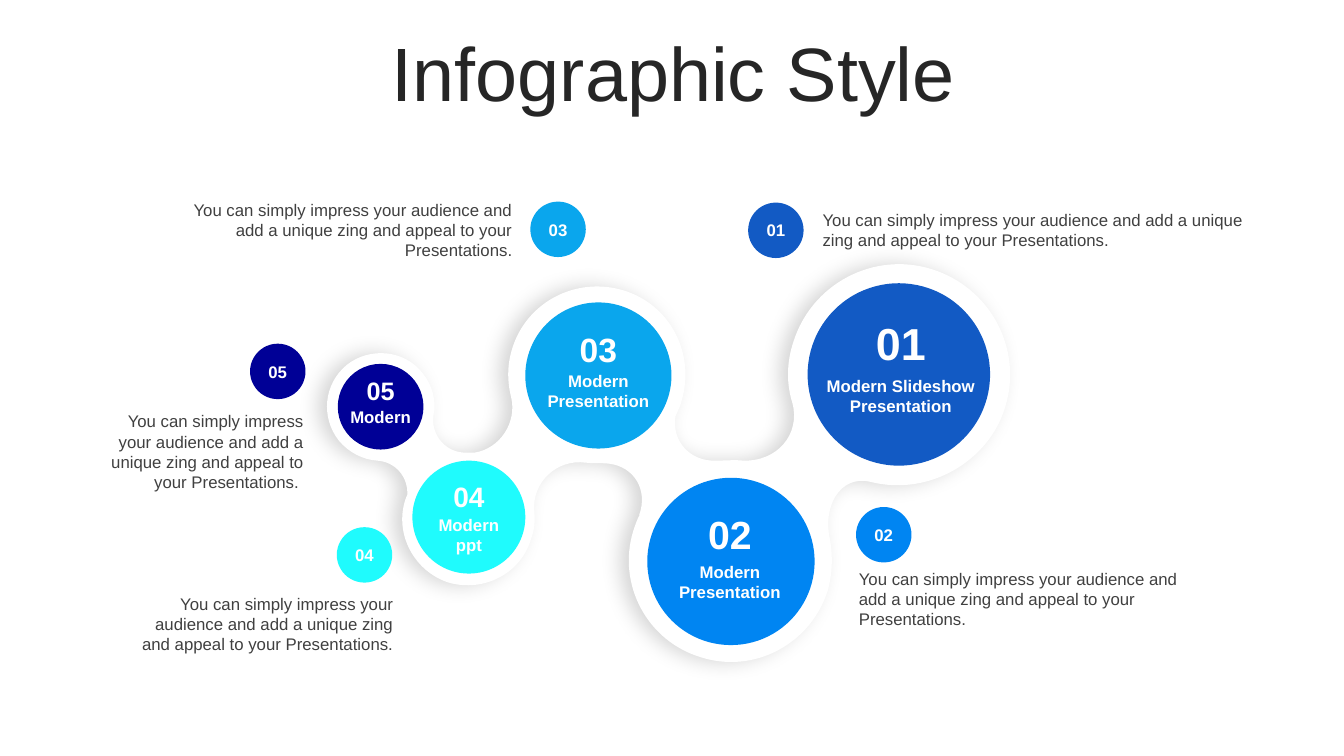
import lxml.etree
import pptx
import pptx.dml.color
import pptx.enum.shapes
import pptx.enum.text
import pptx.oxml.ns
import pptx.util

Inches = pptx.util.Inches
qn = pptx.oxml.ns.qn
ALIGN = pptx.enum.text.PP_ALIGN
ANCHOR = pptx.enum.text.MSO_ANCHOR
OVAL = pptx.enum.shapes.MSO_SHAPE.OVAL


def paint(color_format, hex_color):
    color_format.rgb = pptx.dml.color.RGBColor.from_string(hex_color)


def write(shape, words, size, color, align, bold=False, anchor=ANCHOR.TOP, margin=0.1):
    frame = shape.text_frame
    frame_format = {
        "word_wrap": True,
        "vertical_anchor": anchor,
        "margin_left": Inches(margin),
        "margin_right": Inches(margin),
    }
    for name, value in frame_format.items():
        setattr(frame, name, value)
    frame.text = words
    font_format = {"name": "Arial", "size": pptx.util.Pt(size), "bold": bold}
    for paragraph in frame.paragraphs:
        paragraph.alignment = align
        for run in paragraph.runs:
            for name, value in font_format.items():
                setattr(run.font, name, value)
            paint(run.font.color, color)


deck = pptx.Presentation()
deck.slide_width = Inches(13.33)
deck.slide_height = Inches(7.5)
slide = deck.slides.add_slide(deck.slide_layouts[6])
shapes = slide.shapes

title = shapes.add_textbox(Inches(0.35), Inches(0.37), Inches(12.66), Inches(0.79))
write(title, "Infographic Style", 54, "262626", ALIGN.CENTER, anchor=ANCHOR.MIDDLE)
title.text_frame.paragraphs[0].line_spacing = 0.9

ribbon_start = (9.97, 4.04)
ribbon_curves = [
    (9.81, 4.57, 9.22, 4.93, 8.63, 4.78),
    (8.33, 4.71, 8.16, 5.03, 8.23, 5.34),
    (8.26, 5.5, 8.26, 5.68, 8.21, 5.86),
    (8.04, 6.39, 7.48, 6.69, 6.95, 6.52),
    (6.42, 6.36, 6.12, 5.8, 6.28, 5.27),
    (6.3, 5.21, 6.32, 5.15, 6.35, 5.1),
    (6.34, 5.11, 6.34, 5.11, 6.34, 5.11),
    (6.43, 4.86, 6.29, 4.63, 6.04, 4.6),
    (5.95, 4.59, 5.89, 4.6, 5.81, 4.59),
    (5.81, 4.59, 5.81, 4.59, 5.81, 4.59),
    (5.52, 4.55, 5.27, 4.79, 5.3, 5.08),
    (5.31, 5.17, 5.3, 5.26, 5.27, 5.34),
    (5.17, 5.69, 4.8, 5.88, 4.45, 5.78),
    (4.11, 5.67, 3.91, 5.3, 4.02, 4.96),
    (4.03, 4.94, 4.03, 4.92, 4.04, 4.91),
    (4.05, 4.73, 3.92, 4.58, 3.74, 4.57),
    (3.74, 4.57, 3.74, 4.57, 3.74, 4.57),
    (3.6, 4.56, 3.46, 4.49, 3.36, 4.37),
    (3.18, 4.14, 3.21, 3.81, 3.44, 3.62),
    (3.67, 3.44, 4.01, 3.47, 4.19, 3.7),
    (4.29, 3.82, 4.33, 3.98, 4.3, 4.12),
    (4.3, 4.12, 4.3, 4.12, 4.3, 4.12),
    (4.27, 4.32, 4.43, 4.5, 4.63, 4.49),
    (4.63, 4.49, 4.63, 4.49, 4.63, 4.49),
    (4.65, 4.49, 4.68, 4.49, 4.71, 4.49),
    (4.96, 4.45, 5.13, 4.19, 5.07, 3.94),
    (5.03, 3.78, 5.03, 3.62, 5.08, 3.46),
    (5.22, 3, 5.71, 2.74, 6.18, 2.88),
    (6.65, 3.02, 6.9, 3.51, 6.76, 3.98),
    (6.75, 4.03, 6.72, 4.08, 6.7, 4.13),
    (6.66, 4.38, 6.85, 4.58, 7.1, 4.57),
    (7.21, 4.57, 7.29, 4.56, 7.37, 4.57),
    (7.71, 4.58, 7.94, 4.31, 7.86, 4),
    (7.8, 3.81, 7.8, 3.6, 7.87, 3.39),
    (8.05, 2.82, 8.66, 2.49, 9.24, 2.67),
    (9.82, 2.85, 10.15, 3.46, 9.97, 4.04),
]
ribbon_left, ribbon_top, ribbon_right, ribbon_bottom = 318, 248, 1015, 669
builder = shapes.build_freeform(ribbon_left, ribbon_top, scale=Inches(0.01))
builder.add_line_segments(
    [(ribbon_right, ribbon_top), (ribbon_right, ribbon_bottom), (ribbon_left, ribbon_bottom)]
)
ribbon = builder.convert_to_shape()
outline = ribbon.element.spPr.find(".//" + qn("a:path"))
for segment in list(outline):
    outline.remove(segment)
for tag, numbers in [("a:moveTo", ribbon_start)] + [("a:cubicBezTo", curve) for curve in ribbon_curves]:
    segment = lxml.etree.SubElement(outline, qn(tag))
    for x, y in zip(numbers[::2], numbers[1::2]):
        lxml.etree.SubElement(
            segment,
            qn("a:pt"),
            x=str(round(x * 100) - ribbon_left),
            y=str(round(y * 100) - ribbon_top),
        )
lxml.etree.SubElement(outline, qn("a:close"))
ribbon.fill.solid()
paint(ribbon.fill.fore_color, "FFFFFF")
ribbon.line.fill.background()
ribbon.shadow.inherit = False
effects = ribbon.element.spPr.find(qn("a:effectLst"))
glow = lxml.etree.SubElement(
    effects,
    qn("a:outerShdw"),
    blurRad=str(pptx.util.Pt(15)),
    dist=str(pptx.util.Pt(6)),
    dir="10800000",
    algn="ctr",
    rotWithShape="0",
)
glow_color = lxml.etree.SubElement(glow, qn("a:srgbClr"), val="000000")
lxml.etree.SubElement(glow_color, qn("a:alpha"), val="17000")

message = "You can simply impress your audience and add a unique zing and appeal to your Presentations."
badge_size = 0.55
topics = [
    ("01", "125AC4", (8.01, 2.81, 1.81), 8.03, (3.08, 0.64, 32),
     (3.68, 0.5, "Modern Slideshow Presentation"),
     (7.42, 2.01), (8.06, 2.03, 4.41, 0.5), ALIGN.LEFT, message),
    ("02", "0085F2", (6.42, 4.74, 1.66), 6.41, (5.01, 0.57, 28), (5.52, 0.5, "Modern Presentation"),
     (8.49, 5.03), (8.42, 5.59, 3.4, 0.71), ALIGN.LEFT, message),
    ("03", "0AA6ED", (5.21, 3, 1.45), 5.21, (3.21, 0.5, 24), (3.63, 0.5, "Modern Presentation"),
     (5.26, 2), (1.74, 1.93, 3.44, 0.71), ALIGN.RIGHT, message),
    ("04", "1FFBFD", (4.09, 4.57, 1.12), 4.09, (4.71, 0.44, 20), (5.06, 0.5, "Modern\nppt"),
     (3.34, 5.23), (1.2, 5.84, 2.8, 0.71), ALIGN.RIGHT, message),
    ("05", "000096", (3.35, 3.61, 0.85), 3.35, (3.67, 0.4, 18), (3.99, 0.3, "Modern"),
     (2.48, 3.41), (0.96, 4.03, 2.15, 0.91), ALIGN.RIGHT, message + " "),
]
for (number, color, disc_place, label_left, heading, caption,
     badge_place, blurb_place, align, blurb_words) in topics:
    left, top, diameter = disc_place
    heading_top, heading_height, heading_size = heading
    caption_top, caption_height, caption_words = caption
    disc = shapes.add_shape(OVAL, Inches(left), Inches(top), Inches(diameter), Inches(diameter))
    badge = shapes.add_shape(
        OVAL, Inches(badge_place[0]), Inches(badge_place[1]), Inches(badge_size), Inches(badge_size)
    )
    for circle in (disc, badge):
        circle.shadow.inherit = False
        circle.fill.solid()
        paint(circle.fill.fore_color, color)
        circle.line.fill.background()
    write(badge, number, 12, "FFFFFF", ALIGN.CENTER, True, ANCHOR.MIDDLE, 0)

    disc_number = shapes.add_textbox(
        Inches(label_left), Inches(heading_top), Inches(diameter), Inches(heading_height)
    )
    write(disc_number, number, heading_size, "FFFFFF", ALIGN.CENTER, True)
    disc_caption = shapes.add_textbox(
        Inches(label_left), Inches(caption_top), Inches(diameter), Inches(caption_height)
    )
    write(disc_caption, caption_words, 12, "FFFFFF", ALIGN.CENTER, True)
    blurb = shapes.add_textbox(*[Inches(length) for length in blurb_place])
    write(blurb, blurb_words, 12, "404040", align)

deck.save("out.pptx")
